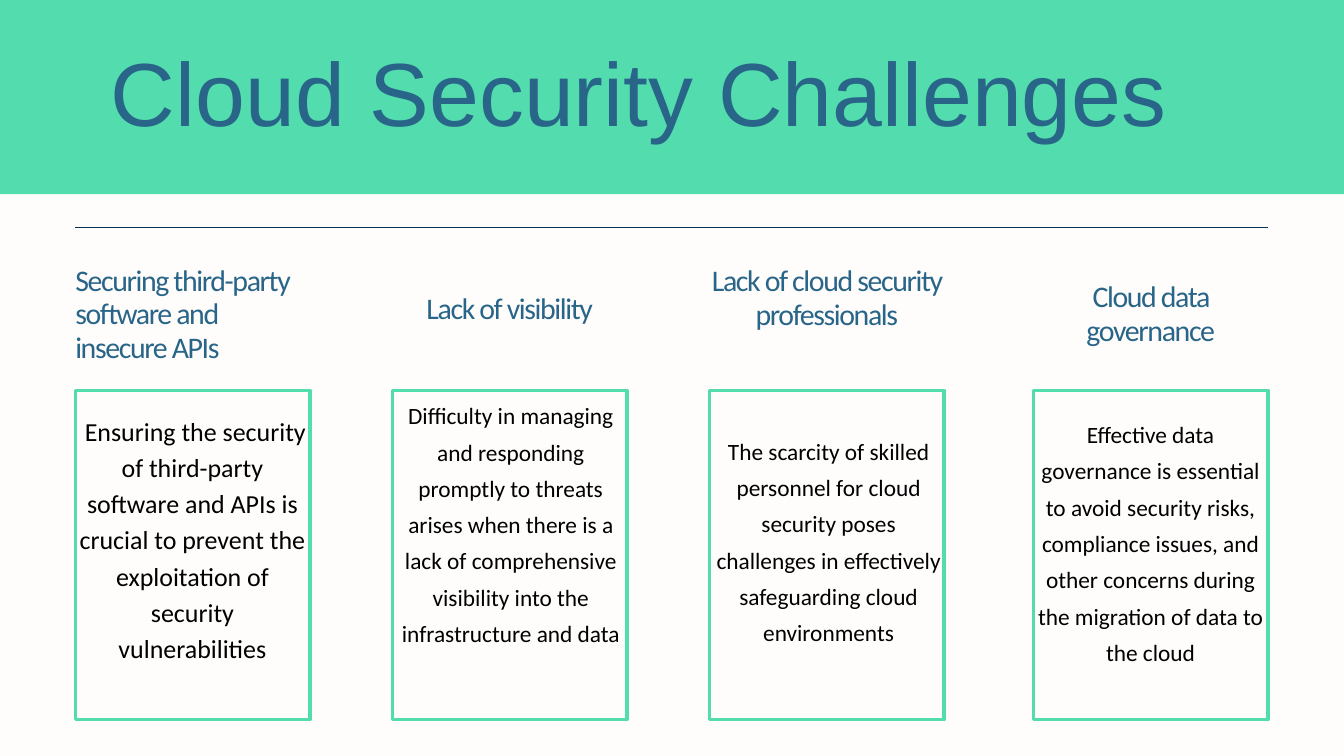
from dataclasses import dataclass

from lxml import etree
from pptx import Presentation
from pptx.dml.color import RGBColor
from pptx.enum.shapes import MSO_CONNECTOR, MSO_SHAPE
from pptx.enum.text import MSO_AUTO_SIZE, PP_ALIGN
from pptx.oxml.ns import qn
from pptx.util import Inches, Pt

RECTANGLE = MSO_SHAPE.RECTANGLE
STRAIGHT = MSO_CONNECTOR.STRAIGHT
GROW = MSO_AUTO_SIZE.SHAPE_TO_FIT_TEXT
LEFT = PP_ALIGN.LEFT
CENTER = PP_ALIGN.CENTER

COLORS = {
    "background": "FFFDFC",
    "green": "53DCAD",
    "blue": "286588",
    "navy": "073351",
    "black": "000000",
}
SLIDE_WIDTH = 20
CARD_TOP, CARD_WIDTH, CARD_HEIGHT = 5.81, 3.49, 4.9


@dataclass
class Area:
    left: float
    top: float
    width: float
    height: float


@dataclass
class TextStyle:
    size: float
    line_spacing: float
    color: str
    font: str = "Calibri"
    alignment: PP_ALIGN = CENTER
    tracking: float = 0


@dataclass
class Challenge:
    left: float
    heading: str
    heading_top: float
    heading_height: float
    description: str
    description_area: Area
    description_size: float = 25
    heading_alignment: PP_ALIGN = CENTER


CHALLENGES = [
    Challenge(
        1.12, "Securing third-party software and insecure APIs", 3.92, 1.51,
        " Ensuring the security of third-party software and APIs is crucial "
        "to prevent the exploitation of security vulnerabilities",
        Area(1.13, 6.1, 3.47, 4.33), 27.8, LEFT,
    ),
    Challenge(
        5.84, "Lack of visibility", 4.34, 0.5,
        "Difficulty in managing and responding promptly to threats arises when "
        "there is a lack of comprehensive visibility into the infrastructure and data",
        Area(5.92, 5.85, 3.36, 4.86),
    ),
    Challenge(
        10.56, "Lack of cloud security professionals", 3.93, 1.51,
        "The scarcity of skilled personnel for cloud security poses challenges "
        "in effectively safeguarding cloud environments",
        Area(10.65, 6.38, 3.36, 3.77),
    ),
    Challenge(
        15.38, "Cloud data governance", 4.17, 1.01,
        "Effective data governance is essential to avoid security risks, compliance "
        "issues, and other concerns during the migration of data to the cloud",
        Area(15.44, 6.13, 3.36, 4.32),
    ),
]


def color(name: str) -> RGBColor:
    return RGBColor.from_string(COLORS[name])


def bounds(area: Area) -> list[Inches]:
    return [Inches(value) for value in (area.left, area.top, area.width, area.height)]


def add_rectangle(slide, area: Area):
    shape = slide.shapes.add_shape(RECTANGLE, *bounds(area))
    shape.shadow.inherit = False
    return shape


def add_banner(slide, area: Area) -> None:
    shape = add_rectangle(slide, area)
    shape.fill.solid()
    shape.fill.fore_color.rgb = color("green")
    shape.line.fill.background()


def add_frame(slide, area: Area) -> None:
    shape = add_rectangle(slide, area)
    shape.fill.background()
    shape.line.color.rgb = color("green")
    shape.line.width = Pt(3.75)


def add_rule(slide, left: float, right: float, top: float) -> None:
    connector = slide.shapes.add_connector(
        STRAIGHT, Inches(left), Inches(top), Inches(right), Inches(top)
    )
    connector.line.color.rgb = color("navy")
    connector.line.width = Pt(0.75)
    etree.SubElement(connector._element.spPr, qn("a:effectLst"))


def add_text(slide, text: str, area: Area, style: TextStyle) -> None:
    text_frame = slide.shapes.add_textbox(*bounds(area)).text_frame
    text_frame.margin_left = text_frame.margin_right = 0
    text_frame.margin_top = text_frame.margin_bottom = 0
    text_frame.word_wrap = True
    text_frame.auto_size = GROW
    text_frame.text = text
    paragraph = text_frame.paragraphs[0]
    paragraph.alignment = style.alignment
    paragraph.line_spacing = Pt(style.line_spacing)
    run = paragraph.runs[0]
    run.font.name = style.font
    run.font.size = Pt(style.size)
    run.font.color.rgb = color(style.color)
    if style.tracking:
        run.font._element.set("spc", str(round(style.tracking * 100)))


def add_challenge(slide, challenge: Challenge) -> None:
    add_frame(slide, Area(challenge.left, CARD_TOP, CARD_WIDTH, CARD_HEIGHT))
    add_text(
        slide,
        challenge.heading,
        Area(challenge.left, challenge.heading_top, CARD_WIDTH, challenge.heading_height),
        TextStyle(32, 36, "blue", alignment=challenge.heading_alignment, tracking=-1.5),
    )
    add_text(
        slide,
        challenge.description,
        challenge.description_area,
        TextStyle(challenge.description_size, 38.9, "black"),
    )


def main() -> None:
    presentation = Presentation()
    presentation.slide_width = Inches(SLIDE_WIDTH)
    presentation.slide_height = Inches(11.25)
    slide = presentation.slides.add_slide(presentation.slide_layouts[6])
    slide.background.fill.solid()
    slide.background.fill.fore_color.rgb = color("background")

    add_banner(slide, Area(0, 0, SLIDE_WIDTH, 2.89))
    add_text(
        slide,
        "Cloud Security Challenges",
        Area(1.65, 1.04, 16.71, 1.12),
        TextStyle(96, 80, "blue", font="Arial", alignment=LEFT),
    )
    add_rule(slide, 1.12, 18.87, 3.38)
    for challenge in CHALLENGES:
        add_challenge(slide, challenge)

    presentation.save("out.pptx")


if __name__ == "__main__":
    main()
